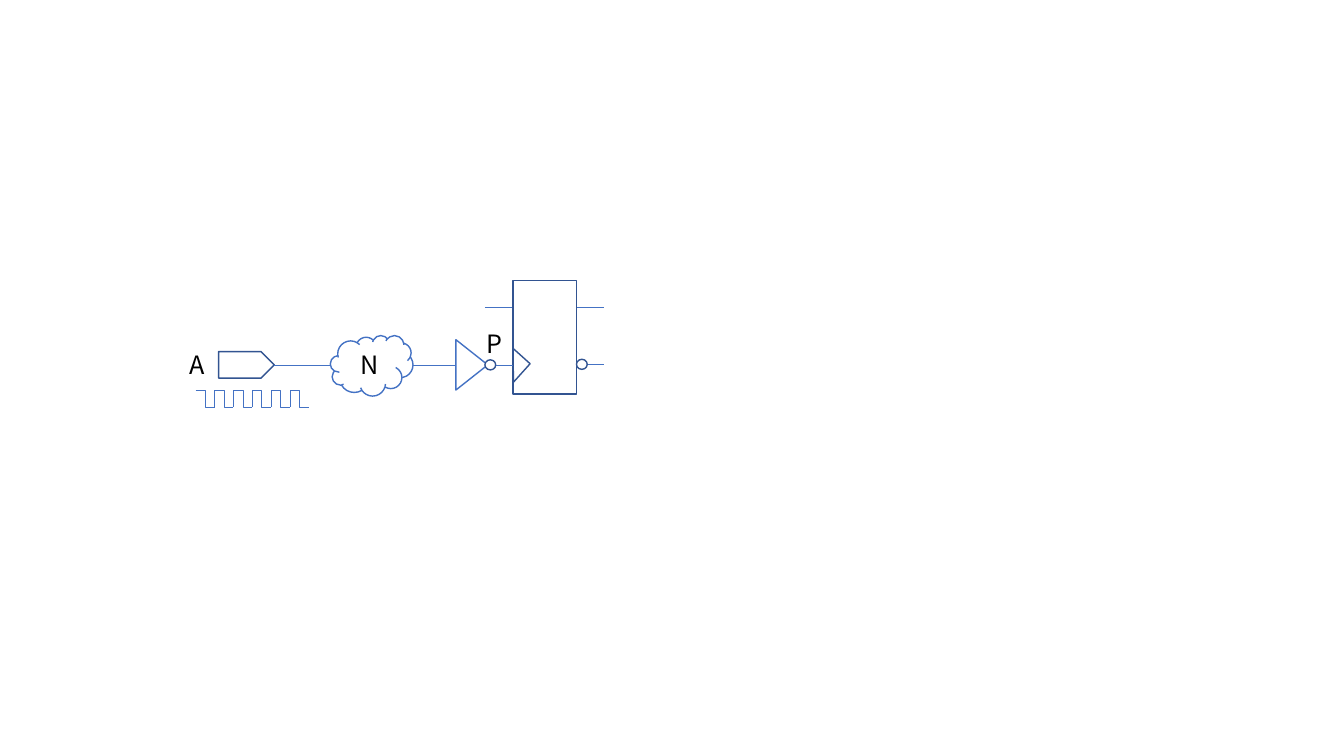
from collections import namedtuple

from lxml import etree
from pptx import Presentation
from pptx.dml.color import RGBColor
from pptx.enum.shapes import MSO_CONNECTOR as Link, MSO_SHAPE as Shape
from pptx.enum.text import MSO_AUTO_SIZE as AutoSize
from pptx.oxml.ns import qn
from pptx.util import Pt

BLUE = RGBColor(0x44, 0x72, 0xC4)
NAVY = RGBColor(0x32, 0x54, 0x91)
WHITE = RGBColor(0xFF, 0xFF, 0xFF)
BLACK = RGBColor(0, 0, 0)
FONT = "Noto Sans CJK SC"
WIRE_Y = 260.64
BUBBLE_WIDTH, BUBBLE_HEIGHT = 7.7, 7.2

Box = namedtuple("Box", "left top width height")


def add_outline(page, kind, box, color, fill=None, rotation=0):
    shape = page.shapes.add_shape(kind, *map(Pt, box))
    shape.shadow.inherit = False
    shape.rotation = rotation
    if fill is None:
        shape.fill.background()
    else:
        shape.fill.solid()
        shape.fill.fore_color.rgb = fill
    shape.line.color.rgb = color
    shape.line.width = Pt(1)
    return shape


def add_wire(page, x1, y1, x2, y2, kind=Link.STRAIGHT):
    wire = page.shapes.add_connector(kind, Pt(x1), Pt(y1), Pt(x2), Pt(y2))
    wire.line.color.rgb = BLUE
    wire.line.width = Pt(0.5)
    etree.SubElement(wire._element.spPr, qn("a:effectLst"))
    return wire


def add_bubble(page, left, middle):
    box = Box(left, middle - BUBBLE_HEIGHT / 2, BUBBLE_WIDTH, BUBBLE_HEIGHT)
    add_outline(page, Shape.FLOWCHART_CONNECTOR, box, NAVY, WHITE)


def add_label(page, text, left, top, width):
    label = page.shapes.add_textbox(Pt(left), Pt(top), Pt(width), Pt(29.1))
    frame = label.text_frame
    frame.word_wrap = False
    frame.auto_size = AutoSize.SHAPE_TO_FIT_TEXT
    para = frame.paragraphs[0]
    para.text = text
    para.font.name = FONT
    para.font.size = Pt(18)
    para.font.color.rgb = BLACK


def draw_input_port(page, box):
    port = add_outline(page, Shape.PENTAGON, box, NAVY, WHITE)
    add_label(page, "A", box.left - 27.6, box.top - 5.5, 25.8)
    return port


def draw_clock_wave(page, box, cycles):
    period = box.width / cycles
    bottom = box.top + box.height
    for cycle in range(cycles):
        left = box.left + cycle * period
        # Falling edge in the middle of each cycle
        add_wire(page, left, box.top, left + period, bottom, Link.ELBOW)
        # Rising edge between cycles
        if cycle:
            add_wire(page, left, box.top, left, bottom)


def draw_network(page, box):
    add_outline(page, Shape.CLOUD, box, BLUE)
    add_label(page, "N", box.left + 14.4, box.top + 6.5, 28.1)


def draw_inverter(page, box):
    # The triangle points up before it is turned to the right
    middle_x, middle_y = box.left + box.width / 2, box.top + box.height / 2
    unturned = Box(middle_x - box.height / 2, middle_y - box.width / 2,
                   box.height, box.width)
    add_outline(page, Shape.ISOSCELES_TRIANGLE, unturned, BLUE, rotation=90)
    add_bubble(page, box.left + box.width - 2, middle_y)
    add_label(page, "P", box.left + 15.1, box.top - 11.5, 24.5)


def draw_flip_flop(page, box, lead):
    right = box.left + box.width
    data_y = box.top + 19.4
    # Output leads and data input
    add_wire(page, right, WIRE_Y - 0.4, right + lead, WIRE_Y - 0.4)
    add_wire(page, box.left - lead, data_y, box.left, data_y)
    add_wire(page, right, data_y, right + lead, data_y)
    # Body with its clock mark
    body = add_outline(page, Shape.RECTANGLE, box, NAVY)
    clock = Box(box.left - 8, WIRE_Y - 8.6, 16.4, 17.8)
    add_outline(page, Shape.RIGHT_TRIANGLE, clock, NAVY, rotation=222)
    add_bubble(page, right, WIRE_Y - 0.4)
    return body


def draw_circuit(page):
    port_box = Box(156.2, WIRE_Y - 9.5, 39.8, 19)
    cloud_box = Box(236, 239.6, 59, 43.2)
    inverter_box = Box(325.6, WIRE_Y - 18, 22.8, 36)
    body_box = Box(366.4, 200.2, 45.4, 81.4)

    draw_flip_flop(page, body_box, lead=20)
    draw_network(page, cloud_box)
    draw_inverter(page, inverter_box)
    port = draw_input_port(page, port_box)
    draw_clock_wave(page, Box(139.8, 278.6, 81, 12.2), cycles=6)

    # Wires along the clock path
    port_wire = add_wire(page, port_box.left + port_box.width, WIRE_Y, cloud_box.left, WIRE_Y)
    port_wire.begin_connect(port, 3)
    add_wire(page, cloud_box.left + cloud_box.width, WIRE_Y, inverter_box.left, WIRE_Y)
    bubble_right = inverter_box.left + inverter_box.width - 2 + BUBBLE_WIDTH
    add_wire(page, bubble_right, WIRE_Y, body_box.left, WIRE_Y)


def main():
    deck = Presentation()
    deck.slide_width, deck.slide_height = Pt(960), Pt(540)
    page = deck.slides.add_slide(deck.slide_layouts[6])
    draw_circuit(page)
    deck.save("out.pptx")


if __name__ == "__main__":
    main()
